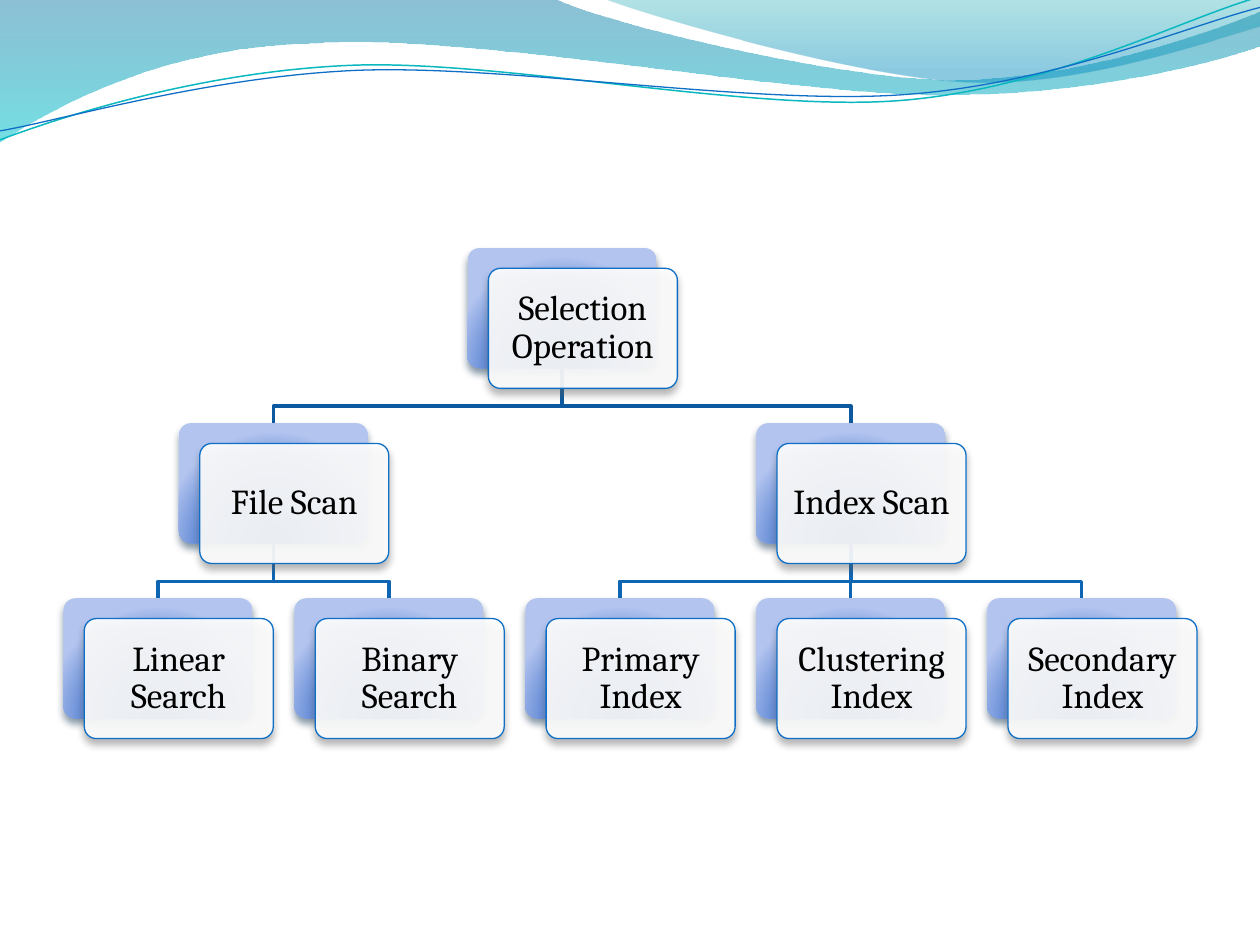
"""Builds a slide with a tree of the selection operation's scan methods."""
import math

import pptx
import pptx.dml.color
import pptx.enum.shapes
import pptx.enum.text
import pptx.oxml
import pptx.oxml.ns
import pptx.util
from pptx.util import Cm

BOX_WIDTH, BOX_HEIGHT, CARD_RIGHT, CARD_DOWN = 3.81, 2.42, 0.42, 0.41
LEFT, TOP, COLUMN_PITCH, ROW_PITCH = 1.28, 5.0, 4.655, 3.53
BEND = 0.77
STEM_WIDTH = 0.25

NODES = {
    "Selection Operation": (1.75, 0),
    "File Scan": (0.5, 1),
    "Index Scan": (3, 1),
    "Linear Search": (0, 2),
    "Binary Search": (1, 2),
    "Primary Index": (2, 2),
    "Clustering Index": (3, 2),
    "Secondary Index": (4, 2),
}
BRANCHES = {
    "Index Scan": ("0E65B4", ["Secondary Index", "Clustering Index", "Primary Index"]),
    "Selection Operation": ("0C599F", ["Index Scan", "File Scan"]),
    "File Scan": ("0E65B4", ["Binary Search", "Linear Search"]),
}
BACK_STOPS = [(0, "003D87", 100), (68, "668DD7", 100), (100, "B3C4EF", 100)]
BACK_PATH = '<a:path path="circle"><a:fillToRect l="50000" t="130000" r="50000" b="-30000"/></a:path>'
DOWNWARD = '<a:lin ang="5400000" scaled="0"/>'

WIDE_WAVE = [
    [(0, 0)], [(11.18, -0.03)],
    [(12.09, 0.43), (16.87, 1.6), (19.25, 1.6)],
    [(21.67, 1.6), (24.33, 0.66), (25.4, 0.23)],
    [(25.43, 0.91)],
    [(24.97, 1.12), (22.1, 1.93), (18.95, 1.91)],
    [(15.8, 1.91), (9.7, 0.71), (6.53, 0.86)],
    [(3.28, 0.91), (1.17, 2.11), (-0.03, 2.87)],
    [(0, 0)],
]
RIGHT_WAVE = [
    [(12.17, -0.03)],
    [(12.93, 0.28), (17.32, 1.57), (19.53, 1.65)],
    [(21.74, 1.75), (24.41, 0.81), (25.4, 0.53)],
    [(25.4, 0)],
    [(12.17, -0.03)],
]
TEAL_CURVE = [
    [(0, 2.82)],
    [(1.22, 2.36), (4.01, 1.45), (7.04, 1.32)],
    [(10.03, 1.19), (15.06, 2.26), (18.11, 2.03)],
    [(21.16, 1.8), (23.83, 0.38), (25.35, -0.05)],
]
BLUE_CURVE = [
    [(0, 2.64)],
    [(1.19, 2.44), (4.17, 1.55), (7.19, 1.42)],
    [(10.24, 1.3), (15.16, 2.13), (18.21, 1.91)],
    [(21.23, 1.7), (23.9, 0.53), (25.4, 0.15)],
]
CURVE_TILT = -2.7


def color(value):
    """Return the colour for a hex string."""
    return pptx.dml.color.RGBColor.from_string(value)


def xml(tag, body="", attributes=""):
    """Return a drawing element with the given body and attributes."""
    space = pptx.oxml.ns.nsdecls("a")
    return pptx.oxml.parse_xml(f"<a:{tag} {space} {attributes}>{body}</a:{tag}>")


def turn(point, center, degrees):
    """Return a point turned clockwise about a center."""
    angle = math.radians(degrees)
    x, y = point[0] - center[0], point[1] - center[1]
    return (center[0] + x * math.cos(angle) - y * math.sin(angle),
            center[1] + x * math.sin(angle) + y * math.cos(angle))


def position(name):
    """Return the left and top of a node's back box in centimetres."""
    column, row = NODES[name]
    return LEFT + column * COLUMN_PITCH, TOP + row * ROW_PITCH


class TreeSlide:
    """Holds the slide and the style of its elements."""

    font = "Cambria"
    text_size = 20
    accent = "0F6FC6"

    def __init__(self, deck):
        """Add a blank slide to the deck."""
        self.slide = deck.slides.add_slide(deck.slide_layouts[6])
        self.shapes = self.slide.shapes

    def gradient(self, shape, stops, direction):
        """Fill a shape with a gradient of (position, colour, opacity) stops."""
        shape.fill.background()
        marks = "".join(
            f'<a:gs pos="{place * 1000}"><a:srgbClr val="{value}">'
            f'<a:alpha val="{opacity * 1000}"/></a:srgbClr></a:gs>'
            for place, value, opacity in stops
        )
        properties = shape.element.spPr
        plain = properties.find(pptx.oxml.ns.qn("a:noFill"))
        properties.replace(plain, xml("gradFill", f"<a:gsLst>{marks}</a:gsLst>{direction}", 'rotWithShape="1"'))

    def outline(self, segments, frame):
        """Add an unfilled freeform of lines and cubic curves within a frame."""
        left, top, width, height = (Cm(length) for length in frame)
        ends = [(Cm(segment[-1][0]), Cm(segment[-1][1])) for segment in segments]
        builder = self.shapes.build_freeform(*ends[0])
        builder.add_line_segments(ends[1:], close=False)
        shape = builder.convert_to_shape()
        shape.left, shape.top, shape.width, shape.height = left, top, width, height
        body = ""
        for index, segment in enumerate(segments):
            tag = "moveTo" if index == 0 else "lnTo" if len(segment) == 1 else "cubicBezTo"
            points = "".join(f'<a:pt x="{Cm(x) - left}" y="{Cm(y) - top}"/>' for x, y in segment)
            body += f"<a:{tag}>{points}</a:{tag}>"
        if segments[0] == segments[-1]:
            body += "<a:close/>"
        paths = shape.element.spPr.find(".//" + pptx.oxml.ns.qn("a:pathLst"))
        paths.replace(paths[0], xml("path", body, f'w="{width}" h="{height}"'))
        shape.shadow.inherit = False
        shape.fill.background()
        return shape

    def wave(self, segments, frame, stops):
        """Add a closed wave with a downward gradient."""
        shape = self.outline(segments, frame)
        self.gradient(shape, stops, DOWNWARD)
        shape.line.fill.background()

    def stroke(self, shape, value, width):
        """Set the line colour and width of a shape."""
        shape.line.color.rgb = color(value)
        shape.line.width = pptx.util.Pt(width)

    def curve(self, segments, frame, value, width):
        """Add an open curved line in a tilted frame."""
        left, top, across, down = frame
        center = left + across / 2, top + down / 2
        level = [[turn(point, center, -CURVE_TILT) for point in segment] for segment in segments]
        shape = self.outline(level, frame)
        shape.rotation = CURVE_TILT
        self.stroke(shape, value, width)

    def box(self, left, top, shadow):
        """Add a rounded box with a soft shadow below it."""
        kind = pptx.enum.shapes.MSO_SHAPE.ROUNDED_RECTANGLE
        box = self.shapes.add_shape(kind, Cm(left), Cm(top), Cm(BOX_WIDTH), Cm(BOX_HEIGHT))
        box.adjustments[0] = 0.1
        box.shadow.inherit = False
        effects = box.element.spPr.find(pptx.oxml.ns.qn("a:effectLst"))
        effects.append(xml(
            "outerShdw", f'<a:srgbClr val="{shadow}"><a:alpha val="48000"/></a:srgbClr>',
            'blurRad="57150" dist="38100" dir="5400000" algn="ctr" rotWithShape="0"',
        ))
        return box

    def node(self, name):
        """Add a node's blue back box and its translucent card with the name."""
        left, top = position(name)
        back = self.box(left, top, "042747")
        self.gradient(back, BACK_STOPS, BACK_PATH)
        back.line.fill.background()
        card = self.box(left + CARD_RIGHT, top + CARD_DOWN, "5A5A5A")
        card.fill.solid()
        card.fill.fore_color.rgb = color("FFFFFF")
        fill = card.element.spPr.find(pptx.oxml.ns.qn("a:solidFill"))
        fill[0].append(xml("alpha", attributes='val="90000"'))
        self.stroke(card, self.accent, 0.75)
        frame = card.text_frame
        frame.text = name
        frame.word_wrap = True
        frame.vertical_anchor = pptx.enum.text.MSO_ANCHOR.MIDDLE
        frame.margin_left = frame.margin_right = frame.margin_top = frame.margin_bottom = Cm(0.2)
        para = frame.paragraphs[0]
        para.alignment = pptx.enum.text.PP_ALIGN.CENTER
        para.line_spacing = 0.9
        span = para.runs[0]
        span.font.name = self.font
        span.font.size = pptx.util.Pt(self.text_size)
        span.font.color.rgb = color("000000")

    def branch(self, parent, child, value):
        """Link a parent's bottom to a child's top."""
        (start, top), (end, bottom) = position(parent), position(child)
        start, end, top = start + BOX_WIDTH / 2, end + BOX_WIDTH / 2, top + BOX_HEIGHT
        bend = top + BEND
        if start == end:
            corners = [(start, top), (end, bottom)]
            frame = (start - STEM_WIDTH / 2, top, STEM_WIDTH, bottom - top)
        else:
            corners = [(start, top), (start, bend), (end, bend), (end, bottom)]
            frame = (min(start, end), top, abs(end - start), bottom - top)
        self.stroke(self.outline([[corner] for corner in corners], frame), value, 2)


def main():
    """Build and save the deck."""
    deck = pptx.Presentation()
    deck.slide_width, deck.slide_height = Cm(25.4), Cm(19.05)
    tree = TreeSlide(deck)
    tree.wave(WIDE_WAVE, (-0.03, -0.03, 25.45, 2.9), [(0, "0074A1", 45), (100, "00C6CF", 55)])
    tree.wave(RIGHT_WAVE, (12.17, -0.03, 13.23, 1.78), [(0, "00A1A9", 30), (80, "008BBF", 45)])
    tree.curve(TEAL_CURVE, (-0.05, 0.56, 25.45, 1.8), "0AB8BF", 0.85)
    tree.curve(BLUE_CURVE, (-0.05, 0.76, 25.48, 1.47), tree.accent, 0.75)
    for parent, (value, children) in BRANCHES.items():
        for child in children:
            tree.branch(parent, child, value)
    for name in NODES:
        tree.node(name)
    deck.save("out.pptx")


if __name__ == "__main__":
    main()
